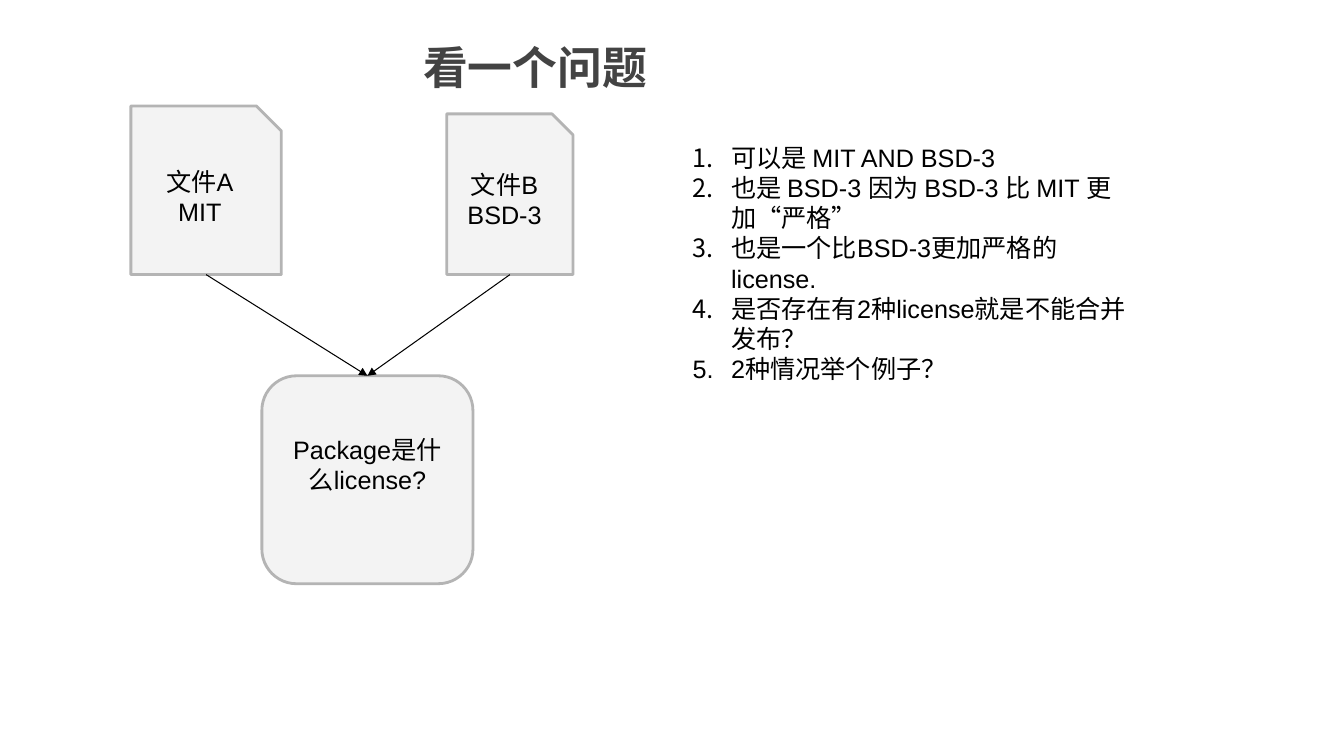
from dataclasses import dataclass

from lxml.etree import SubElement
from pptx import Presentation
from pptx.dml.color import RGBColor
from pptx.enum.shapes import MSO_CONNECTOR, MSO_SHAPE
from pptx.enum.text import MSO_ANCHOR, MSO_AUTO_SIZE, PP_ALIGN
from pptx.oxml.ns import qn
from pptx.util import Cm, Pt

# Content
TITLE = "看一个问题"
FILES = [  # lines of text, (left, top, width, height) in cm
    (["文件A", "MIT"], (3.3, 2.67, 3.79, 4.25)),
    (["文件B", "BSD-3"], (11.26, 2.87, 3.18, 4.05)),
]
PACKAGE = (["Package是什么license?"], (6.6, 9.47, 5.32, 5.24))
POINTS = [
    "可以是 MIT AND BSD-3",
    "也是 BSD-3 因为 BSD-3 比 MIT 更加“严格”",
    "也是一个比BSD-3更加严格的license.",
    "是否存在有2种license就是不能合并发布？",
    "2种情况举个例子？",
]
TITLE_BOX = (3.84, 0.74, 19.3, 1.9)
POINTS_BOX = (17.2, 3.45, 11.58, 6.4)
NUMBER_INDENT = Cm(0.97)
PACKAGE_BOTTOM_INSET = Cm(0.89)  # lifts the package text by half a line
TOP, BOTTOM = 0, 2  # connection sites


@dataclass(frozen=True)
class Theme:
    title_color: RGBColor = RGBColor(0x43, 0x43, 0x43)
    text_color: RGBColor = RGBColor(0, 0, 0)
    fill: RGBColor = RGBColor(0xF3, 0xF3, 0xF3)
    outline: RGBColor = RGBColor(0xB4, 0xB4, 0xB4)
    title_font: str = "Calibri"
    body_font: str = "Arial"
    title_size: Pt = Pt(32)
    body_size: Pt = Pt(18)
    outline_width: Pt = Pt(2)
    arrow_width: Pt = Pt(0.75)


THEME = Theme()


def place(shape, box):
    shape.left, shape.top, shape.width, shape.height = map(Cm, box)


def write(frame, lines, font, size, color, align, bold=False):
    for index, line in enumerate(lines):
        paragraph = frame.paragraphs[0] if index == 0 else frame.add_paragraph()
        paragraph.alignment = align
        paragraph.space_before = Pt(0)
        run = paragraph.add_run()
        run.text = line
        run.font.name, run.font.size, run.font.bold = font, size, bold
        run.font.color.rgb = color


def write_body(frame, lines, align):
    write(frame, lines, THEME.body_font, THEME.body_size, THEME.text_color, align)


def add_node(slide, kind, lines, box):
    shape = slide.shapes.add_shape(kind, *map(Cm, box))
    shape.shadow.inherit = False
    shape.fill.solid()
    shape.fill.fore_color.rgb = THEME.fill
    shape.line.color.rgb = THEME.outline
    shape.line.width = THEME.outline_width
    shape.text_frame.word_wrap = True
    shape.text_frame.vertical_anchor = MSO_ANCHOR.MIDDLE
    write_body(shape.text_frame, lines, PP_ALIGN.CENTER)
    return shape


def add_arrow(slide, source, target):
    arrow = slide.shapes.add_connector(MSO_CONNECTOR.STRAIGHT, 0, 0, 0, 0)
    arrow.begin_connect(source, BOTTOM)
    arrow.end_connect(target, TOP)
    arrow.line.color.rgb = THEME.text_color
    arrow.line.width = THEME.arrow_width
    SubElement(arrow.line._get_or_add_ln(), qn("a:tailEnd"), type="triangle")
    SubElement(arrow._element.spPr, qn("a:effectLst"))


def number(paragraph):
    properties = paragraph._p.get_or_add_pPr()
    properties.set("marL", str(NUMBER_INDENT))
    properties.set("indent", str(-NUMBER_INDENT))
    SubElement(properties, qn("a:buFontTx"))
    SubElement(properties, qn("a:buAutoNum"), type="arabicPeriod")


def main():
    presentation = Presentation()
    presentation.slide_width, presentation.slide_height = Cm(33.87), Cm(19.05)
    slide = presentation.slides.add_slide(presentation.slide_layouts[1])

    # Title
    title = slide.shapes.title
    place(title, TITLE_BOX)
    title.text_frame.vertical_anchor = MSO_ANCHOR.MIDDLE
    write(title.text_frame, [TITLE], THEME.title_font, THEME.title_size,
          THEME.title_color, PP_ALIGN.CENTER, bold=True)

    # Files merging into one package
    files = [add_node(slide, MSO_SHAPE.SNIP_1_RECTANGLE, *file) for file in FILES]
    package = add_node(slide, MSO_SHAPE.ROUNDED_RECTANGLE, *PACKAGE)
    package.text_frame.margin_bottom = PACKAGE_BOTTOM_INSET
    for file in files:
        add_arrow(slide, file, package)

    # Numbered points
    points = slide.placeholders[1]
    place(points, POINTS_BOX)
    points.text_frame.word_wrap = True
    points.text_frame.auto_size = MSO_AUTO_SIZE.SHAPE_TO_FIT_TEXT
    write_body(points.text_frame, POINTS, PP_ALIGN.LEFT)
    for paragraph in points.text_frame.paragraphs:
        number(paragraph)

    presentation.save("out.pptx")


if __name__ == "__main__":
    main()
